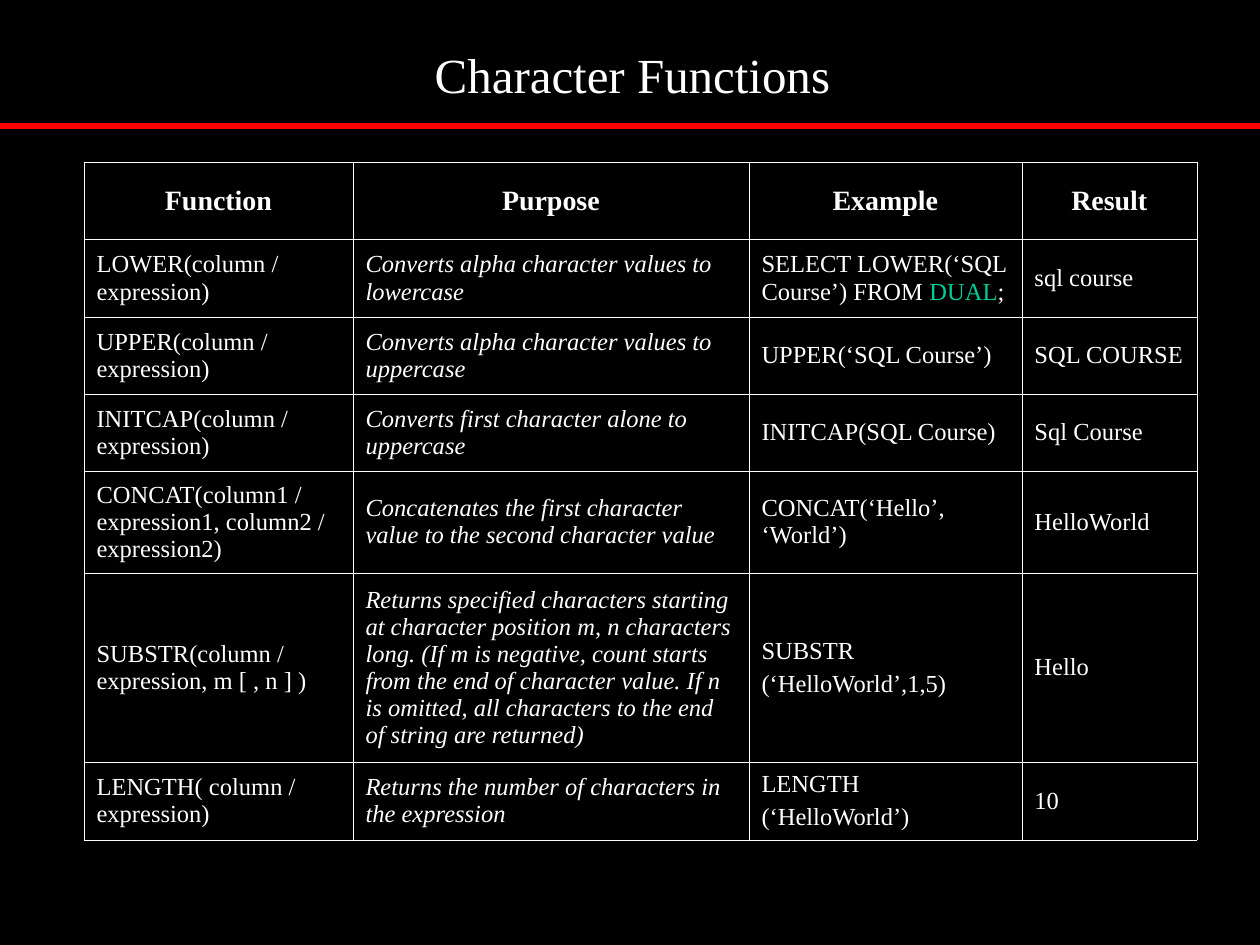
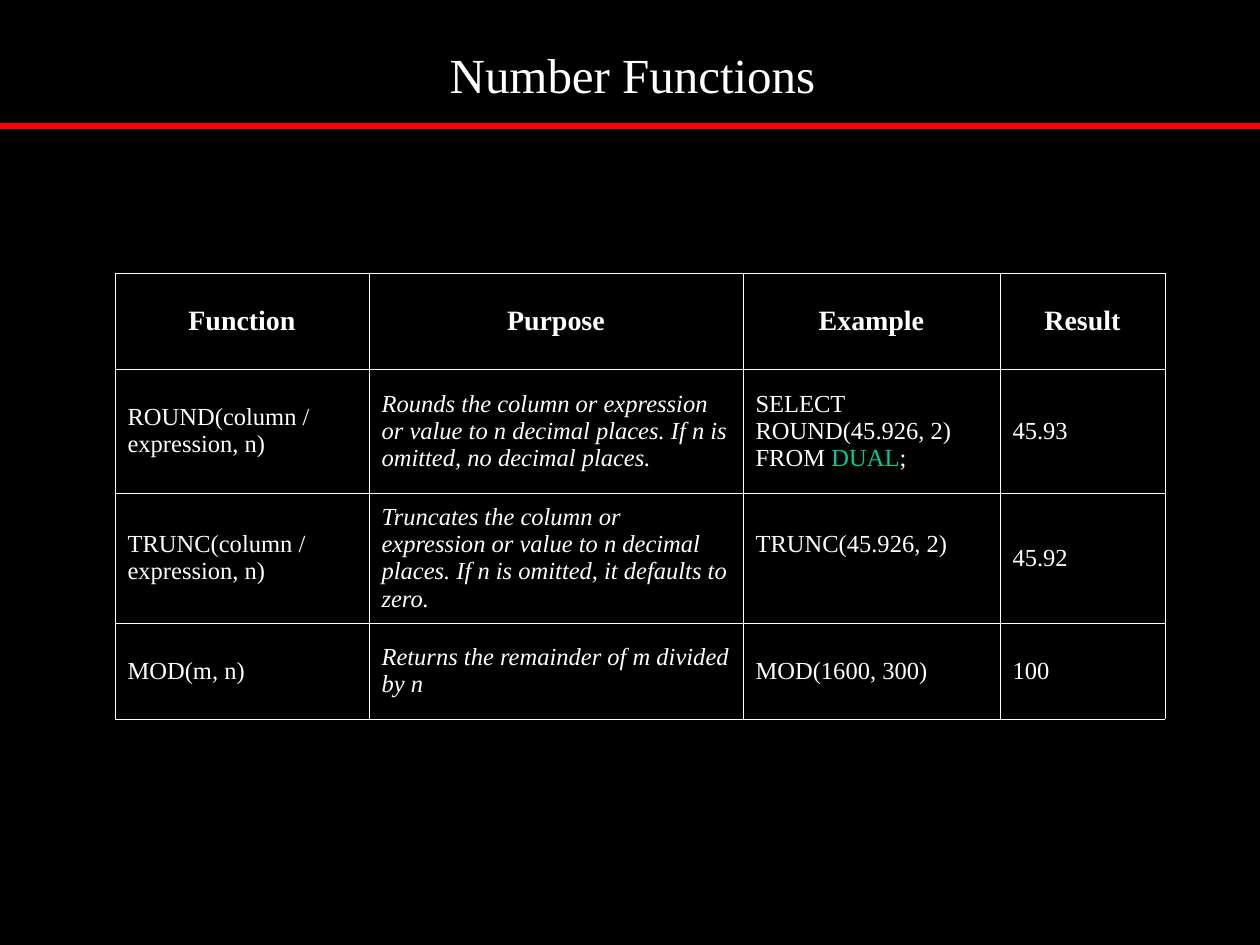
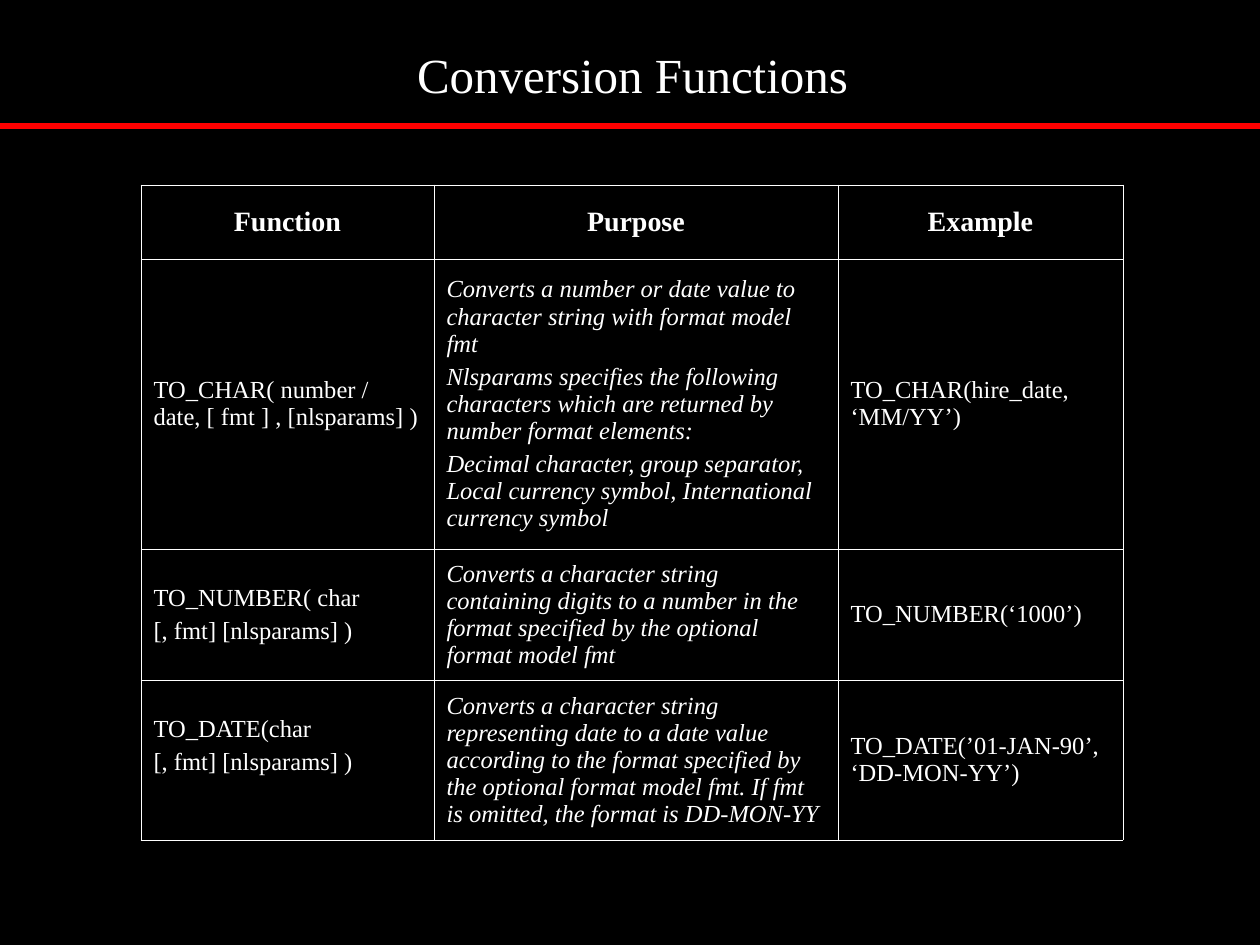
from dataclasses import dataclass

from lxml.etree import SubElement
from pptx import Presentation
from pptx.dml.color import RGBColor
from pptx.enum.shapes import MSO_CONNECTOR
from pptx.enum.text import MSO_ANCHOR, MSO_AUTO_SIZE, PP_ALIGN
from pptx.oxml.ns import qn
from pptx.util import Emu, Inches, Pt

PX_PER_INCH = 126
SLIDE_W, SLIDE_H = 1260, 945


@dataclass(frozen=True)
class Theme:
    font: str = "Times New Roman"
    background: str = "000000"
    text: str = "FFFFFF"
    keyword: str = "00CC99"
    rule: str = "FF0000"
    title_size: int = 28
    header_size: int = 16
    body_size: int = 14
    paragraph_gap: float = 3.5
    rule_width: int = 3
    border_width: float = 0.45


@dataclass(frozen=True)
class Cell:
    text: str
    bottom: int = 6


@dataclass(frozen=True)
class FunctionTable:
    title: str
    left: int
    top: int
    widths: list[int]
    heights: list[int]
    rows: list[list[str | Cell]]


THEME = Theme()
HEADERS = ["Function", "Purpose", "Example", "Result"]
PURPOSE_COLUMN = HEADERS.index("Purpose")
KEYWORD = "DUAL"
RAISED = 34

TABLES = [
    FunctionTable(
        "Character Functions", 84, 162,
        [269, 396, 273, 175], [77, 78, 77, 77, 102, 189, 78],
        [
            ["LOWER(column / expression)",
             "Converts alpha character values to lowercase",
             "SELECT LOWER(‘SQL Course’) FROM DUAL;", "sql course"],
            ["UPPER(column / expression)",
             "Converts alpha character values to uppercase",
             "UPPER(‘SQL Course’)", "SQL COURSE"],
            ["INITCAP(column / expression)",
             "Converts first character alone to uppercase",
             "INITCAP(SQL Course)", "Sql Course"],
            ["CONCAT(column1 / expression1, column2 / expression2)",
             "Concatenates the first character value to the second character value",
             "CONCAT(‘Hello’, ‘World’)", "HelloWorld"],
            ["SUBSTR(column / expression, m [ , n ] )",
             "Returns specified characters starting at character position m, "
             "n characters long. (If m is negative, count starts from the end of "
             "character value. If n is omitted, all characters to the end of "
             "string are returned)",
             "SUBSTR\n(‘HelloWorld’,1,5)", "Hello"],
            ["LENGTH( column / expression)",
             "Returns the number of characters in the expression",
             "LENGTH\n(‘HelloWorld’)", "10"],
        ],
    ),
    FunctionTable(
        "Number Functions", 115, 273,
        [254, 374, 257, 165], [96, 124, 130, 96],
        [
            ["ROUND(column / expression, n)",
             "Rounds the column or expression or value to n decimal places. "
             "If n is omitted, no decimal places.",
             "SELECT ROUND(45.926, 2) FROM DUAL;", "45.93"],
            ["TRUNC(column / expression, n)",
             "Truncates the column or expression or value to n decimal places. "
             "If n is omitted, it defaults to zero.",
             Cell("TRUNC(45.926, 2)", RAISED), "45.92"],
            ["MOD(m, n)", "Returns the remainder of m divided by n",
             "MOD(1600, 300)", "100"],
        ],
    ),
    FunctionTable(
        "Conversion Functions", 141, 185,
        [293, 404, 285], [74, 290, 131, 160],
        [
            ["TO_CHAR( number / date, [ fmt ] , [nlsparams] )",
             "Converts a number or date value to character string with format "
             "model fmt\n"
             "Nlsparams specifies the following characters which are returned by "
             "number format elements:\n"
             "Decimal character, group separator, Local currency symbol, "
             "International currency symbol",
             "TO_CHAR(hire_date, ‘MM/YY’)"],
            ["TO_NUMBER( char\n[, fmt] [nlsparams] )",
             "Converts a character string containing digits to a number in the "
             "format specified by the optional format model fmt",
             "TO_NUMBER(‘1000’)"],
            [Cell("TO_DATE(char\n[, fmt] [nlsparams] )", RAISED),
             "Converts a character string representing date to a date value "
             "according to the format specified by the optional format model fmt. "
             "If fmt is omitted, the format is DD-MON-YY",
             "TO_DATE(’01-JAN-90’, ‘DD-MON-YY’)"],
        ],
    ),
]


def px(n: int) -> Emu:
    return Emu(round(n * Inches(1) / PX_PER_INCH))


def apply(target, formats: dict) -> None:
    for name, value in formats.items():
        setattr(target, name, value)


def add_run(p, text: str, size: int, color: str = THEME.text,
            bold: bool = False, italic: bool = False) -> None:
    r = p.add_run()
    r.text = text
    apply(r.font, {"name": THEME.font, "size": Pt(size),
                   "bold": bold, "italic": italic})
    r.font.color.rgb = RGBColor.from_string(color)


def add_title(s, text: str) -> None:
    sp = s.shapes.title
    apply(sp, {"left": px(97), "top": px(32), "width": px(1071), "height": px(84)})
    tf = sp.text_frame
    apply(tf, {"word_wrap": True, "auto_size": MSO_AUTO_SIZE.NONE,
               "vertical_anchor": MSO_ANCHOR.MIDDLE})
    p = tf.paragraphs[0]
    p.alignment = PP_ALIGN.CENTER
    add_run(p, text, THEME.title_size)


def add_rule(s) -> None:
    line = s.shapes.add_connector(MSO_CONNECTOR.STRAIGHT,
                                  px(0), px(126), px(SLIDE_W), px(126))
    line.line.color.rgb = RGBColor.from_string(THEME.rule)
    line.line.width = Pt(THEME.rule_width)
    SubElement(line._element.spPr, qn("a:effectLst"))


def add_borders(cell) -> None:
    tc_pr = cell._tc.get_or_add_tcPr()
    for side in ("lnL", "lnR", "lnT", "lnB"):
        ln = SubElement(tc_pr, qn(f"a:{side}"), w=str(Pt(THEME.border_width)))
        fill = SubElement(ln, qn("a:solidFill"))
        SubElement(fill, qn("a:srgbClr"), val=THEME.text)


def fill_cell(cell, content: Cell, header: bool, italic: bool) -> None:
    add_borders(cell)
    cell.fill.background()
    apply(cell, {"vertical_anchor": MSO_ANCHOR.MIDDLE,
                 "margin_bottom": px(content.bottom)})
    size = THEME.header_size if header else THEME.body_size
    tf = cell.text_frame
    for i, text in enumerate(content.text.split("\n")):
        p = tf.add_paragraph() if i else tf.paragraphs[0]
        p.alignment = PP_ALIGN.CENTER if header else PP_ALIGN.LEFT
        if i:
            p.space_before = Pt(THEME.paragraph_gap)
        for part in text.partition(KEYWORD):
            if part:
                color = THEME.keyword if part == KEYWORD else THEME.text
                add_run(p, part, size, color, header, italic)


def add_function_table(s, spec: FunctionTable) -> None:
    rows = [HEADERS[:len(spec.widths)], *spec.rows]
    table = s.shapes.add_table(
        len(rows), len(spec.widths), px(spec.left), px(spec.top),
        px(sum(spec.widths)), px(sum(spec.heights))).table
    apply(table, {"first_row": False, "horz_banding": False})
    for column, width in zip(table.columns, spec.widths):
        column.width = px(width)
    for row, height in zip(table.rows, spec.heights):
        row.height = px(height)
    for i, row in enumerate(rows):
        for j, value in enumerate(row):
            content = value if isinstance(value, Cell) else Cell(value)
            fill_cell(table.cell(i, j), content, i == 0,
                      i > 0 and j == PURPOSE_COLUMN)


def main() -> None:
    prs = Presentation()
    apply(prs, {"slide_width": px(SLIDE_W), "slide_height": px(SLIDE_H)})
    fill = prs.slide_master.background.fill
    fill.solid()
    fill.fore_color.rgb = RGBColor.from_string(THEME.background)
    title_only = prs.slide_layouts.get_by_name("Title Only")
    for table in TABLES:
        s = prs.slides.add_slide(title_only)
        add_title(s, table.title)
        add_rule(s)
        add_function_table(s, table)
    prs.save("out.pptx")


if __name__ == "__main__":
    main()
